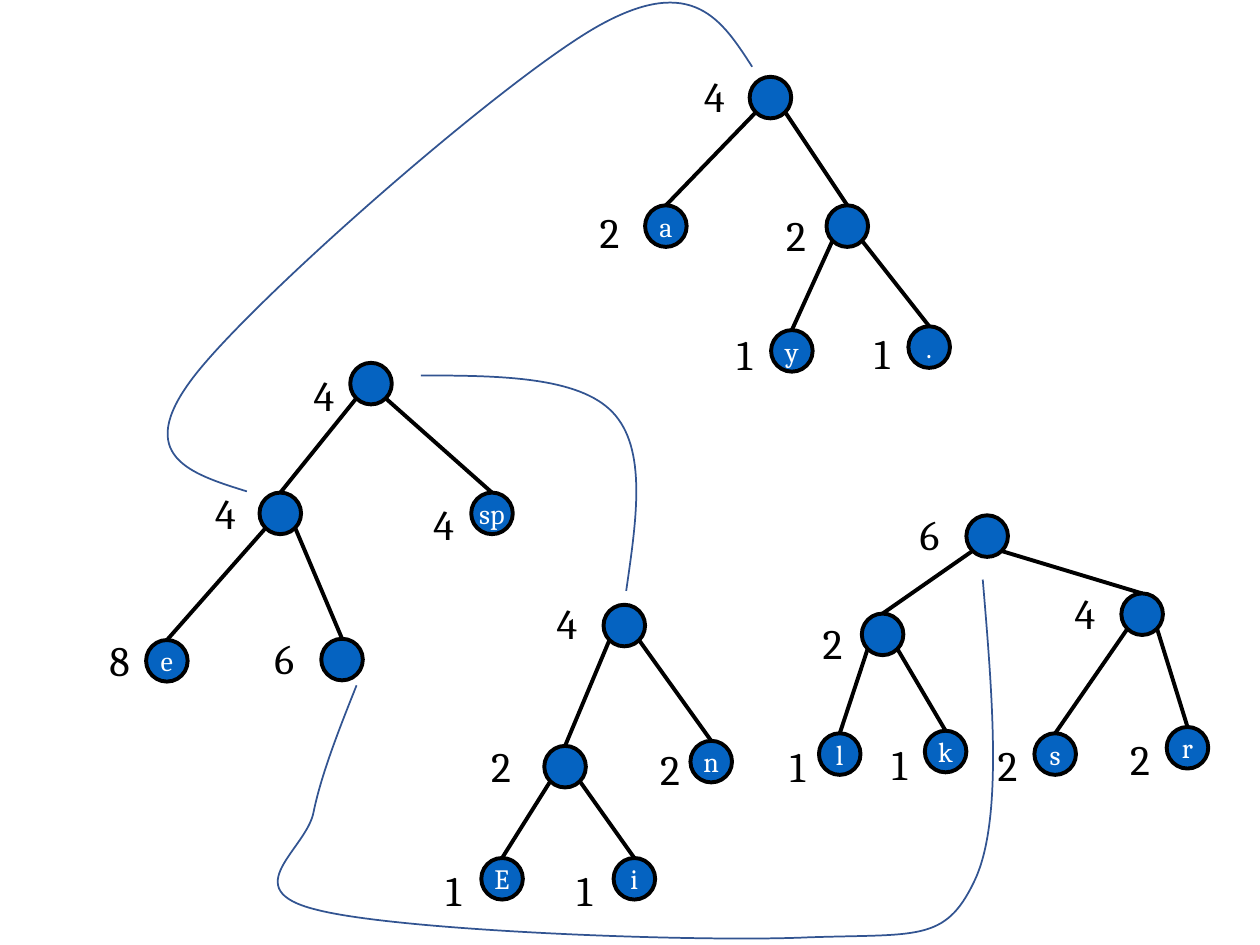
import dataclasses

import lxml.etree
import pptx
import pptx.dml.color
import pptx.enum.shapes
import pptx.enum.text
import pptx.oxml.ns
import pptx.util

Inches = pptx.util.Inches

COLORS = {"node": "0563C1", "edge": "000000", "link": "325491",
          "letter": "FFFFFF", "weight": "000000"}
LETTER = {"size": pptx.util.Pt(16), "name": "Cambria"}
WEIGHT = {"size": pptx.util.Pt(24), "name": "Cambria"}
DIAMETER = 0.33
RADIUS = DIAMETER / 2
EDGE_REACH = 0.12
WEIGHT_WIDTH, WEIGHT_HEIGHT = 0.39, 0.5


@dataclasses.dataclass
class Node:
    """A tree node placed inside its tree's box, with its weight's offset."""
    x: float
    y: float
    weight: str
    offset: tuple
    letter: str = ""
    children: tuple = ()


LEFT_TREE = Node(2.01, 0, "4", (-0.39, 0), children=(
    Node(1.29, 1.03, "4", (-0.45, -0.09), children=(
        Node(0.39, 2.2, "8", (-0.39, -0.09), "e"),
        Node(1.78, 2.19, "6", (-0.47, -0.1)))),
    Node(2.97, 1.03, "4", (-0.4, 0), "sp")))

TOP_TREE = Node(1.29, 0.1, "4", (-0.46, -0.1), children=(
    Node(0.46, 1.12, "2", (-0.46, -0.04), "a"),
    Node(1.9, 1.12, "2", (-0.42, -0.02), children=(
        Node(1.46, 2.11, "1", (-0.37, -0.06), "y"),
        Node(2.55, 2.08, "1", (-0.37, -0.04), ".")))))

RIGHT_TREE = Node(1.5, 0.1, "6", (-0.47, -0.1), children=(
    Node(0.67, 0.88, "2", (-0.41, -0.02), children=(
        Node(0.33, 1.83, "1", (-0.33, 0.01), "l"),
        Node(1.17, 1.81, "1", (-0.36, 0.01), "k"))),
    Node(2.73, 0.72, "4", (-0.47, -0.1), children=(
        Node(2.04, 1.83, "2", (-0.39, 0), "s"),
        Node(3.09, 1.78, "2", (-0.39, 0), "r")))))

MIDDLE_TREE = Node(1.35, 0.11, "4", (-0.47, -0.11), children=(
    Node(0.88, 1.23, "2", (-0.52, -0.09), children=(
        Node(0.38, 2.12, "1", (-0.38, 0), "E"),
        Node(1.43, 2.12, "1", (-0.39, 0), "i"))),
    Node(2.04, 1.19, "2", (-0.34, -0.03), "n")))

TREES = [((0.77, 2.88), LEFT_TREE), ((4.66, 0.51), TOP_TREE),
         ((6.17, 3.99), RIGHT_TREE), ((3.44, 4.69), MIDDLE_TREE)]

LINKS = [
    ((1.33, 0.02, 4.64, 3.88), [
        (4.64, 0.51),
        (4.4, 0.14), (4.17, -0.23), (3.43, 0.18),
        (2.69, 0.59), (0.67, 2.36), (0.2, 2.98),
        (-0.27, 3.6), (0.18, 3.74), (0.63, 3.88)]),
    ((3.34, 2.98, 1.71, 1.71), [
        (1.63, 1.71),
        (1.71, 1.15), (1.8, 0.58), (1.52, 0.29),
        (1.25, 0.01), (0.63, 0), (0, 0)]),
    ((2.2, 4.6, 5.68, 2.86), [
        (5.6, 0),
        (5.68, 0.96), (5.76, 1.93), (5.53, 2.4),
        (5.3, 2.88), (5.08, 2.81), (4.21, 2.84),
        (3.34, 2.88), (0.96, 2.79), (0.31, 2.62),
        (-0.34, 2.46), (0.24, 2.14), (0.29, 1.84),
        (0.35, 1.55), (0.49, 1.19), (0.63, 0.84)]),
]


def rgb(part):
    """Return the colour of a part."""
    return pptx.dml.color.RGBColor.from_string(COLORS[part])


def style_line(line, part, width):
    """Give an outline its colour and its width in points."""
    line.color.rgb = rgb(part)
    line.width = pptx.util.Pt(width)


def write(frame, text, part, font_values):
    """Write one formatted run that does not wrap."""
    frame.word_wrap = False
    run = frame.paragraphs[0].add_run()
    run.text = text
    run.font.color.rgb = rgb(part)
    for key, value in font_values.items():
        setattr(run.font, key, value)


def draw_edge(slide, start, end):
    """Join a child's top to its parent's rim."""
    edge = slide.shapes.add_connector(
        pptx.enum.shapes.MSO_CONNECTOR.STRAIGHT,
        *(Inches(value) for value in (*start, *end)))
    style_line(edge.line, "edge", 2.25)
    lxml.etree.SubElement(edge._element.spPr, pptx.oxml.ns.qn("a:effectLst"))


def draw_tree(slide, box, node):
    """Draw a node with its weight, its edges and its subtrees in a box."""
    left, top = box[0] + node.x, box[1] + node.y
    circle = slide.shapes.add_shape(
        pptx.enum.shapes.MSO_SHAPE.OVAL, Inches(left), Inches(top),
        Inches(DIAMETER), Inches(DIAMETER))
    circle.shadow.inherit = False
    circle.fill.solid()
    circle.fill.fore_color.rgb = rgb("node")
    style_line(circle.line, "edge", 2.25)
    if node.letter:
        write(circle.text_frame, node.letter, "letter", LETTER)
        circle.text_frame.vertical_anchor = pptx.enum.text.MSO_ANCHOR.MIDDLE
        circle.text_frame.paragraphs[0].alignment = pptx.enum.text.PP_ALIGN.CENTER

    weight = slide.shapes.add_textbox(
        Inches(left + node.offset[0]), Inches(top + node.offset[1]),
        Inches(WEIGHT_WIDTH), Inches(WEIGHT_HEIGHT))
    write(weight.text_frame, node.weight, "weight", WEIGHT)

    for child, side in zip(node.children, (-1, 1)):
        draw_edge(slide,
                  (box[0] + child.x + RADIUS, box[1] + child.y),
                  (left + RADIUS + side * EDGE_REACH, top + RADIUS + EDGE_REACH))
        draw_tree(slide, box, child)


def add_path_step(path_element, tag, points):
    """Append one drawing step with its points to a shape outline."""
    step = lxml.etree.SubElement(path_element, pptx.oxml.ns.qn(tag))
    for x, y in points:
        lxml.etree.SubElement(step, pptx.oxml.ns.qn("a:pt"),
                              x=str(Inches(x)), y=str(Inches(y)))


def draw_link(slide, box, controls):
    """Draw a link of cubic curves between two trees in a box."""
    left, top, width, height = (Inches(value) for value in box)
    builder = slide.shapes.build_freeform(0, 0, scale=1.0)
    builder.add_line_segments([(width, height)], close=False)
    link = builder.convert_to_shape(left, top)
    outline = next(link._element.iter(pptx.oxml.ns.qn("a:path")))
    for step in list(outline):
        outline.remove(step)
    add_path_step(outline, "a:moveTo", controls[:1])
    for first in range(1, len(controls), 3):
        add_path_step(outline, "a:cubicBezTo", controls[first:first + 3])
    link.shadow.inherit = False
    link.fill.background()
    style_line(link.line, "link", 1)


def main():
    """Build the slide of linked trees."""
    presentation = pptx.Presentation()
    presentation.slide_width = Inches(10)
    presentation.slide_height = Inches(7.5)
    slide = presentation.slides.add_slide(presentation.slide_layouts[6])
    for box, root in TREES:
        draw_tree(slide, box, root)
    for box, controls in LINKS:
        draw_link(slide, box, controls)
    presentation.save("out.pptx")


main()
